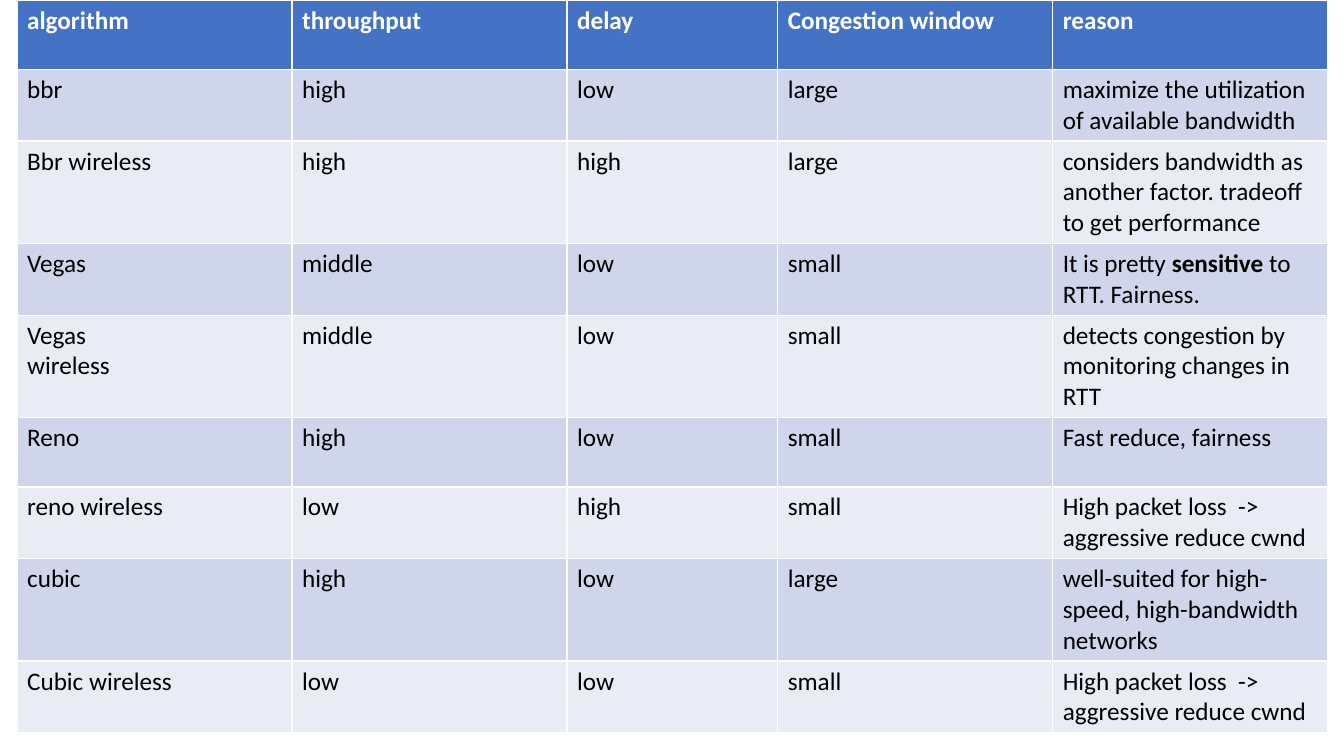
"""Build a slide with a table comparing congestion control algorithms."""
from dataclasses import astuple, dataclass

from pptx import Presentation
from pptx.dml.color import RGBColor
from pptx.table import _Cell
from pptx.util import Cm, Pt

COLORS = {
    "head": "4472C4",
    "odd": "CFD5EA",
    "even": "E9EBF5",
    "light": "FFFFFF",
    "dark": "000000",
}
WIDTHS = (6.93, 6.93, 5.31, 6.93, 6.93)
KEY = "sensitive"


@dataclass(frozen=True)
class Row:
    """Hold the text of one table row."""
    name: str
    speed: str
    delay: str
    window: str
    reason: str


LOSS = "High packet loss  -> aggressive reduce cwnd"
ROWS = (
    Row("algorithm", "throughput", "delay", "Congestion window", "reason"),
    Row("bbr", "high", "low", "large",
        "maximize the utilization of available bandwidth"),
    Row("Bbr wireless", "high", "high", "large",
        "considers bandwidth as another factor. tradeoff to get performance"),
    Row("Vegas", "middle", "low", "small",
        "It is pretty sensitive to RTT. Fairness."),
    Row("Vegas\nwireless", "middle", "low", "small",
        "detects congestion by monitoring changes in RTT"),
    Row("Reno", "high", "low", "small", "Fast reduce, fairness"),
    Row("reno wireless", "low", "high", "small", LOSS),
    Row("cubic", "high", "low", "large",
        "well-suited for high-speed, high-bandwidth networks"),
    Row("Cubic wireless", "low", "low", "small", LOSS),
)


def write(cell: _Cell, text: str, fill: str, ink: str, bold: bool) -> None:
    """Fill one cell and write its text, with the key word in bold."""
    cell.fill.solid()
    cell.fill.fore_color.rgb = RGBColor.from_string(COLORS[fill])
    frame = cell.text_frame
    start, word, rest = text.partition(KEY)
    frame.text = start
    if word:
        line = frame.paragraphs[0]
        mark = line.add_run()
        mark.text = word
        mark.font.bold = True
        line.add_run().text = rest
    for line in frame.paragraphs:
        font = line.font
        font.name, font.size, font.bold = "Calibri", Pt(18), bold
        font.color.rgb = RGBColor.from_string(COLORS[ink])


def main() -> None:
    """Build and save the slide."""
    deck = Presentation()
    deck.slide_width, deck.slide_height = Cm(33.87), Cm(19.05)
    slide = deck.slides.add_slide(deck.slide_layouts[6])
    shape = slide.shapes.add_table(
        len(ROWS), len(WIDTHS), Cm(0.43), Cm(0), Cm(sum(WIDTHS)), Cm(19))
    table = shape.table
    for col, width in zip(table.columns, WIDTHS):
        col.width = Cm(width)
    for i, row in enumerate(ROWS):
        table.rows[i].height = Cm(1.75)
        head = i == 0
        fill = "head" if head else "odd" if i % 2 else "even"
        ink = "light" if head else "dark"
        for j, text in enumerate(astuple(row)):
            write(table.cell(i, j), text, fill, ink, head)
    shape.height = Cm(19)
    deck.save("out.pptx")


if __name__ == "__main__":
    main()
